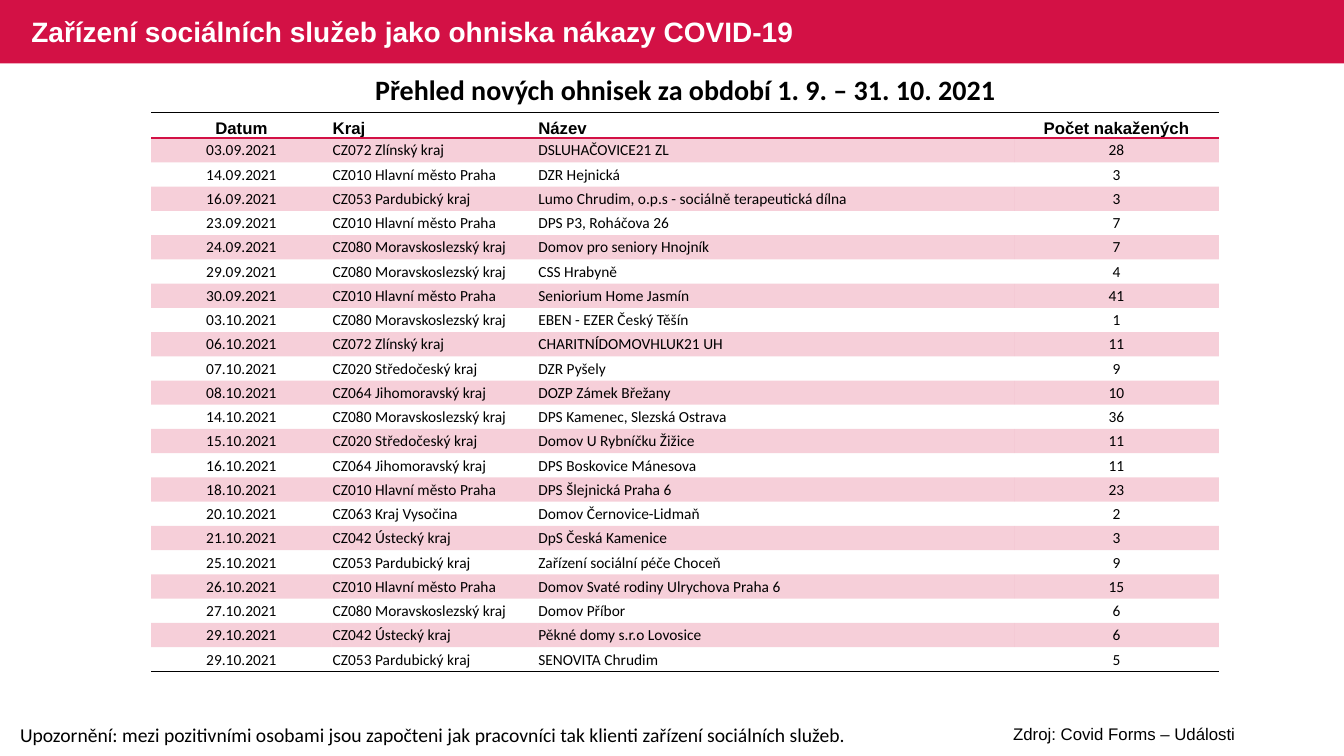
import pptx
import pptx.dml.color
import pptx.enum.shapes
import pptx.enum.text
import pptx.oxml
import pptx.oxml.ns
import pptx.util

CRIMSON = pptx.dml.color.RGBColor(0xD3, 0x11, 0x45)
BLACK = pptx.dml.color.RGBColor(0, 0, 0)
WHITE = pptx.dml.color.RGBColor(0xFF, 0xFF, 0xFF)
LEFT = pptx.enum.text.PP_ALIGN.LEFT
CENTER = pptx.enum.text.PP_ALIGN.CENTER
MIDDLE = pptx.enum.text.MSO_ANCHOR.MIDDLE
BOTTOM = pptx.enum.text.MSO_ANCHOR.BOTTOM
PLAIN_TABLE = "{2D5ABB26-0587-4C30-8999-92F81FD0307C}"

HEADERS = ["Datum", "Kraj", "Název", "Počet nakažených"]
COLUMN_WIDTHS = [13.43, 15.3, 35.48, 15.23]
COLUMN_ALIGNS = [CENTER, LEFT, LEFT, CENTER]
HEADER_HEIGHT = 3.33
ROW_HEIGHT = 3.21
REGIONS = {
    "CZ010": "Hlavní město Praha",
    "CZ020": "Středočeský kraj",
    "CZ042": "Ústecký kraj",
    "CZ053": "Pardubický kraj",
    "CZ063": "Kraj Vysočina",
    "CZ064": "Jihomoravský kraj",
    "CZ072": "Zlínský kraj",
    "CZ080": "Moravskoslezský kraj",
}
OUTBREAKS = [
    ("03.09.2021", "CZ072", "DSLUHAČOVICE21 ZL", 28),
    ("14.09.2021", "CZ010", "DZR Hejnická", 3),
    ("16.09.2021", "CZ053", "Lumo Chrudim, o.p.s - sociálně terapeutická dílna", 3),
    ("23.09.2021", "CZ010", "DPS P3, Roháčova 26", 7),
    ("24.09.2021", "CZ080", "Domov pro seniory Hnojník", 7),
    ("29.09.2021", "CZ080", "CSS Hrabyně", 4),
    ("30.09.2021", "CZ010", "Seniorium Home Jasmín", 41),
    ("03.10.2021", "CZ080", "EBEN - EZER Český Těšín", 1),
    ("06.10.2021", "CZ072", "CHARITNÍDOMOVHLUK21 UH", 11),
    ("07.10.2021", "CZ020", "DZR Pyšely", 9),
    ("08.10.2021", "CZ064", "DOZP Zámek Břežany", 10),
    ("14.10.2021", "CZ080", "DPS Kamenec, Slezská Ostrava", 36),
    ("15.10.2021", "CZ020", "Domov U Rybníčku Žižice", 11),
    ("16.10.2021", "CZ064", "DPS Boskovice Mánesova", 11),
    ("18.10.2021", "CZ010", "DPS Šlejnická Praha 6", 23),
    ("20.10.2021", "CZ063", "Domov Černovice-Lidmaň", 2),
    ("21.10.2021", "CZ042", "DpS Česká Kamenice", 3),
    ("25.10.2021", "CZ053", "Zařízení sociální péče Choceň", 9),
    ("26.10.2021", "CZ010", "Domov Svaté rodiny Ulrychova Praha 6", 15),
    ("27.10.2021", "CZ080", "Domov Příbor", 6),
    ("29.10.2021", "CZ042", "Pěkné domy s.r.o Lovosice", 6),
    ("29.10.2021", "CZ053", "SENOVITA Chrudim", 5),
]


class Report:
    """Builds a slide from elements placed in percent of its size."""

    def __init__(self, deck):
        self.deck = deck
        self.page = deck.slides.add_slide(deck.slide_layouts[5])

    def across(self, percent):
        return round(self.deck.slide_width * percent / 100)

    def down(self, percent):
        return round(self.deck.slide_height * percent / 100)

    def area(self, left, top, width, height):
        return self.across(left), self.down(top), self.across(width), self.down(height)

    def add_text(self, frame, text, size, font, color=BLACK, bold=False, align=LEFT):
        para = frame.paragraphs[0]
        para.alignment = align
        span = para.add_run()
        span.text = text
        span.font.size = pptx.util.Pt(size)
        span.font.name = font
        span.font.bold = bold
        span.font.color.rgb = color
        return para

    def title(self, text, place):
        box = self.page.shapes.title
        box.left, box.top, box.width, box.height = self.area(*place)
        frame = box.text_frame
        frame.auto_size = pptx.enum.text.MSO_AUTO_SIZE.NONE
        frame.vertical_anchor = MIDDLE
        self.add_text(frame, text, 20, "Arial", WHITE, True).line_spacing = 0.9

    def band(self, place):
        rectangle = pptx.enum.shapes.MSO_SHAPE.RECTANGLE
        box = self.page.shapes.add_shape(rectangle, *self.area(*place))
        box.shadow.inherit = False
        box.fill.solid()
        box.fill.fore_color.rgb = CRIMSON
        box.line.fill.background()
        self.page.shapes.title.element.addprevious(box.element)

    def label(self, text, place, size, font, **style):
        frame = self.page.shapes.add_textbox(*self.area(*place)).text_frame
        frame.word_wrap = True
        frame.auto_size = pptx.enum.text.MSO_AUTO_SIZE.SHAPE_TO_FIT_TEXT
        self.add_text(frame, text, size, font, **style)

    def border(self, cell, side, color):
        namespace = pptx.oxml.ns.nsdecls("a")
        cell._tc.get_or_add_tcPr().append(pptx.oxml.parse_xml(
            f'<a:{side} {namespace} w="12700"><a:solidFill>'
            f'<a:srgbClr val="{color}"/></a:solidFill></a:{side}>'))

    def tint(self, cell, percent):
        cell.fill.solid()
        cell.fill.fore_color.rgb = CRIMSON
        fill = cell._tc.tcPr.find(pptx.oxml.ns.qn("a:solidFill"))
        fill[0].append(pptx.oxml.parse_xml(
            f'<a:alpha {pptx.oxml.ns.nsdecls("a")} val="{percent * 1000}"/>'))

    def fill_cell(self, cell, text, align, row, last):
        heading = row == 0
        cell.margin_left = cell.margin_right = pptx.util.Inches(0.01)
        cell.margin_top = pptx.util.Inches(0 if heading else 0.01)
        cell.margin_bottom = 0
        cell.vertical_anchor = BOTTOM if heading else MIDDLE
        size, font = (12, "Arial") if heading else (11, "Calibri")
        self.add_text(cell.text_frame, text, size, font, bold=heading, align=align)
        if heading:
            self.border(cell, "lnT", BLACK)
            self.border(cell, "lnB", CRIMSON)
        elif row == last:
            self.border(cell, "lnB", BLACK)
        if row % 2:
            self.tint(cell, 20)
        else:
            cell.fill.background()

    def table(self, rows, left, top):
        last = len(rows) - 1
        place = self.area(left, top, sum(COLUMN_WIDTHS), HEADER_HEIGHT + last * ROW_HEIGHT)
        holder = self.page.shapes.add_table(len(rows), len(HEADERS), *place)
        grid = holder.table
        grid.first_row = grid.horz_banding = False
        grid._tbl.tblPr.find(pptx.oxml.ns.qn("a:tableStyleId")).text = PLAIN_TABLE
        for column, width in zip(grid.columns, COLUMN_WIDTHS):
            column.width = self.across(width)
        for row, texts in enumerate(rows):
            grid.rows[row].height = self.down(ROW_HEIGHT if row else HEADER_HEIGHT)
            for column, (text, align) in enumerate(zip(texts, COLUMN_ALIGNS)):
                self.fill_cell(grid.cell(row, column), text, align, row, last)


def main():
    deck = pptx.Presentation()
    deck.slide_width = pptx.util.Inches(13.33)
    deck.slide_height = pptx.util.Inches(7.5)
    report = Report(deck)
    report.band((0, 0, 100, 8.4))
    report.title("Zařízení sociálních služeb jako ohniska nákazy COVID-19",
                 (1.58, 0.27, 61, 8.4))
    report.label("Upozornění: mezi pozitivními osobami jsou započteni jak pracovníci "
                 "tak klienti zařízení sociálních služeb.",
                 (0.75, 94.93, 63.9, 4.5), 14, "Calibri")
    report.label("Přehled nových ohnisek za období 1. 9. – 31. 10. 2021",
                 (4, 8.93, 94, 5.9), 20, "Calibri", bold=True, align=CENTER)
    report.label("Zdroj: Covid Forms – Události",
                 (68, 95.07, 31.3, 4), 12, "Arial", align=CENTER)
    rows = [(date, f"{code} {REGIONS[code]}", name, str(count))
            for date, code, name, count in OUTBREAKS]
    report.table([HEADERS, *rows], 11.25, 14.93)
    deck.save("out.pptx")


if __name__ == "__main__":
    main()
